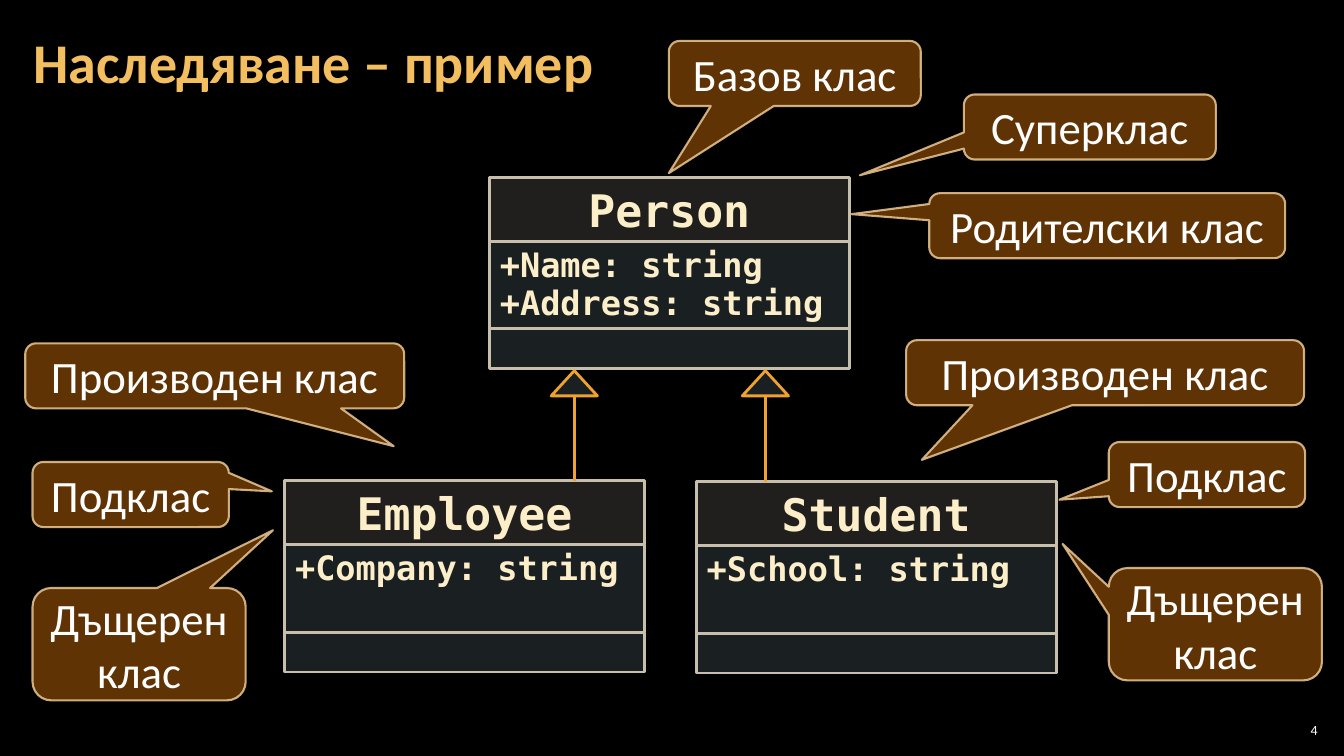
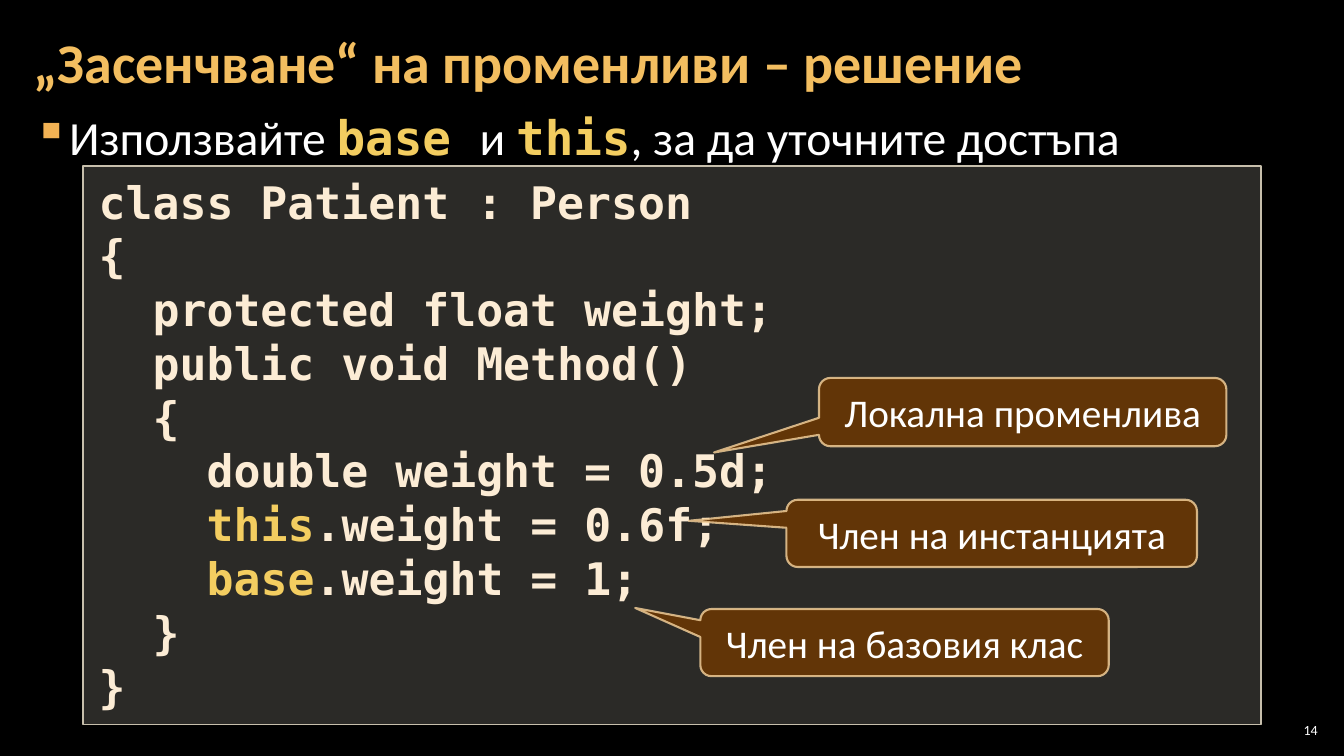
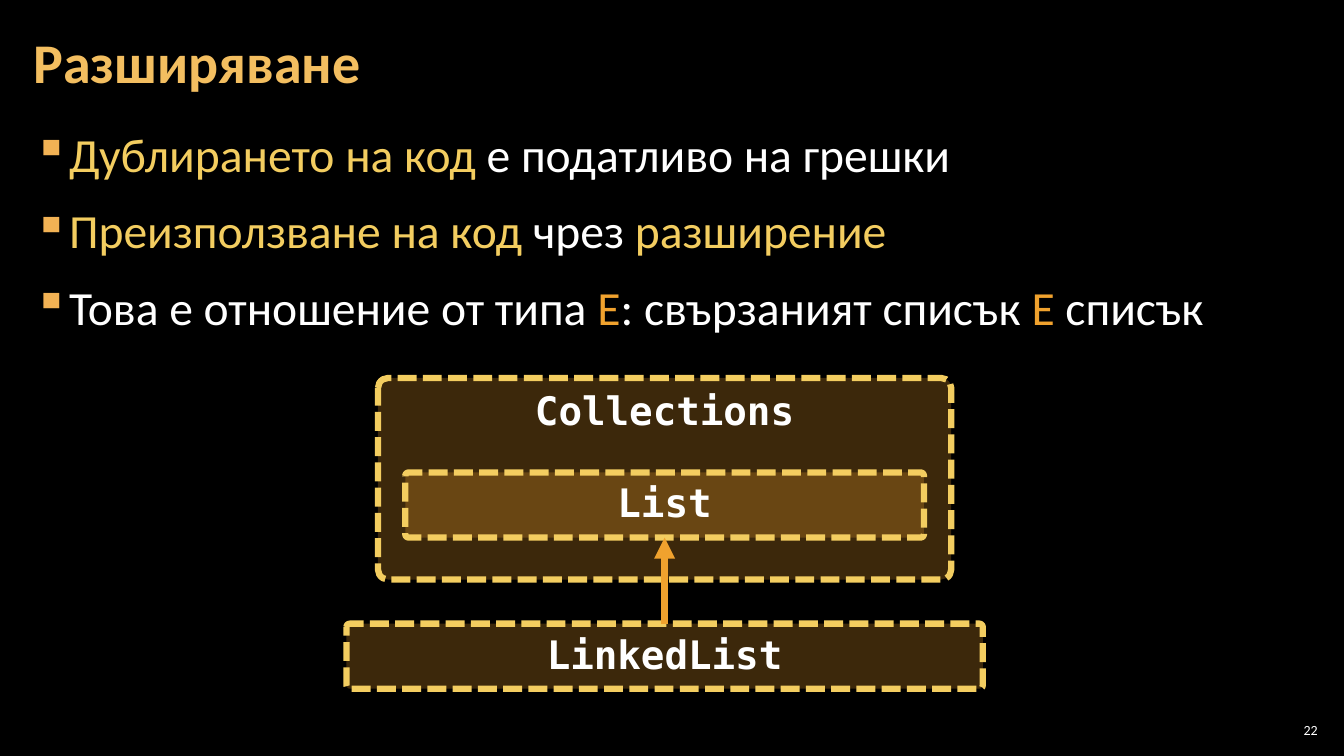
import pptx
import pptx.dml.color
import pptx.enum.dml
import pptx.enum.shapes
import pptx.enum.text
import pptx.oxml.ns
import pptx.util
from lxml import etree

SHAPE = pptx.enum.shapes.MSO_SHAPE
ALIGN = pptx.enum.text.PP_ALIGN
ANCHOR = pptx.enum.text.MSO_ANCHOR
STRAIGHT = pptx.enum.shapes.MSO_CONNECTOR.STRAIGHT
NAMESPACES = {"a": pptx.oxml.ns.nsuri("a")}
SANS = "Calibri"
MONO = "DejaVu Sans Mono"
TOP, BOTTOM = 0, 2

COLORS = {
    "background": "000000",
    "text": "FFFFFF",
    "title": "F3BE60",
    "bullet": "F2B254",
    "highlight": "F3CD60",
    "accent": "F0A22E",
    "class text": "FBEEC9",
    "class name": "D9D5C7",
    "class body": "B5DBE5",
    "border": "C7BFAC",
    "code": "FCECD5",
    "callout": "663606",
    "callout border": "F8D49E",
}


def px(length):
    return pptx.util.Emu(round(length * 9525))


def rgb(name):
    return pptx.dml.color.RGBColor.from_string(COLORS[name])


def add_xml(parent, tag, **attributes):
    return etree.SubElement(parent, pptx.oxml.ns.qn(tag), **attributes)


def set_opacity(shape, owner, percent):
    """Fade the fill (owner ".") or the line (owner "a:ln") of a shape."""
    color = shape._element.spPr.find(owner + "/a:solidFill/a:srgbClr",
                                     NAMESPACES)
    add_xml(color, "a:alpha", val=str(percent * 1000))


class Deck:
    def __init__(self):
        self.presentation = pptx.Presentation()
        self.presentation.slide_width = px(1280)
        self.presentation.slide_height = px(720)
        self.slide = None

    def new_slide(self, title, number):
        self.slide = self.presentation.slides.add_slide(
            self.presentation.slide_layouts[6])
        background = self.slide.background.fill
        background.solid()
        background.fore_color.rgb = rgb("background")
        self.text_box((20, 4, 1240, 116), [title], 40, "title", bold=True,
                      spacing=0.9, anchor=ANCHOR.MIDDLE)
        self.text_box((1214, 685, 45, 20), [number], 10, "text",
                      align=ALIGN.RIGHT, anchor=ANCHOR.MIDDLE, insets=(4, 4))

    def set_text(self, holder, paragraphs, size, color, font=SANS, bold=False,
                 align=ALIGN.LEFT, spacing=1.0, anchor=ANCHOR.TOP,
                 insets=(10, 5), bullets=False):
        """Fill a shape; a paragraph is a string or a list of strings
        and (text, color, font) tuples."""
        frame = holder.text_frame
        frame.word_wrap = True
        frame.vertical_anchor = anchor
        frame.margin_left = frame.margin_right = px(insets[0])
        frame.margin_top = frame.margin_bottom = px(insets[1])
        for index, content in enumerate(paragraphs):
            paragraph = frame.add_paragraph() if index else frame.paragraphs[0]
            if bullets:
                self.add_bullet(paragraph)
                paragraph.space_before = pptx.util.Pt(6 if index else 0)
                paragraph.space_after = pptx.util.Pt(6)
            paragraph.alignment = align
            paragraph.line_spacing = spacing
            self.style(paragraph.font, size, color, font, bold)
            if isinstance(content, str):
                paragraph.text = content
                continue
            for part in content:
                run = paragraph.add_run()
                if isinstance(part, str):
                    run.text = part
                else:
                    run.text, run_color, run_font = part
                    self.style(run.font, size, run_color, run_font,
                               run_font == MONO)

    def style(self, target, size, color, font, bold):
        target.size = pptx.util.Pt(size)
        target.name = font
        target.bold = bold
        target.color.rgb = rgb(color)

    def add_bullet(self, paragraph):
        properties = paragraph._p.get_or_add_pPr()
        properties.set("marL", str(px(32)))
        properties.set("indent", str(px(-32)))
        bullet_color = add_xml(properties, "a:buClr")
        add_xml(bullet_color, "a:srgbClr", val=COLORS["bullet"])
        add_xml(properties, "a:buChar", char="▪")

    def text_box(self, box, paragraphs, size, color, insets=(12, 4), **options):
        holder = self.slide.shapes.add_textbox(*map(px, box))
        self.set_text(holder, paragraphs, size, color, insets=insets, **options)

    def bullets(self, top, paragraphs):
        self.text_box((20, top, 1240, 585), paragraphs, 34, "text",
                      spacing=1.05, bullets=True)

    def paint(self, shape, fill, opacity, border, width):
        shape.shadow.inherit = False
        shape.fill.solid()
        shape.fill.fore_color.rgb = rgb(fill)
        set_opacity(shape, ".", opacity)
        shape.line.color.rgb = rgb(border)
        shape.line.width = pptx.util.Pt(width)

    def panel(self, kind, box, fill, opacity, border, width):
        shape = self.slide.shapes.add_shape(kind, *map(px, box))
        self.paint(shape, fill, opacity, border, width)
        return shape

    def callout(self, text, box, tip, size=32):
        """Draw a speech bubble whose tail ends at the point tip."""
        left, top, width, height = box
        bubble = self.panel(SHAPE.ROUNDED_RECTANGULAR_CALLOUT, box, "callout",
                            95, "callout border", 1.5)
        set_opacity(bubble, "a:ln", 80)
        bubble.adjustments[0] = (tip[0] - left) / width - 0.5
        bubble.adjustments[1] = (tip[1] - top) / height - 0.5
        self.set_text(bubble, [text], size, "text", align=ALIGN.CENTER,
                      anchor=ANCHOR.MIDDLE)

    def class_diagram(self, name, fields, left, top):
        sections = []
        for height, fill in ((61, "class name"), (83, "class body"),
                             (38, "class body")):
            sections.append(self.panel(SHAPE.RECTANGLE,
                                       (left, top, 343, height), fill, 15,
                                       "border", 2))
            top += height
        self.set_text(sections[0], [name], 32, "class text", MONO, True,
                      align=ALIGN.CENTER, anchor=ANCHOR.MIDDLE)
        self.set_text(sections[1], fields, 24, "class text", MONO, True,
                      spacing=0.95)

    def connector(self, start, end, width):
        line = self.slide.shapes.add_connector(STRAIGHT, *map(px, start + end))
        line.line.color.rgb = rgb("accent")
        line.line.width = pptx.util.Pt(width)
        add_xml(line._element.spPr, "a:effectLst")
        return line

    def inheritance(self, x, child_top):
        """Draw a line up from a child class to a hollow triangle."""
        apex, base = 353, 377
        self.connector((x, child_top), (x, base), 2)
        outline = self.slide.shapes.build_freeform(x - 22, base, scale=px(1))
        outline.add_line_segments([(x + 22, base), (x, apex)], close=True)
        self.paint(outline.convert_to_shape(), "class body", 15, "accent", 2)

    def code(self, box, lines):
        listing = self.panel(SHAPE.RECTANGLE, box, "class name", 20,
                             "border", 1)
        self.set_text(listing, lines, 32, "code", MONO, True, insets=(15, 8))

    def dashed_box(self, name, center, top, width, height):
        box = self.panel(SHAPE.ROUNDED_RECTANGLE,
                         (center - width / 2, top, width, height),
                         "accent", 25, "highlight", 4.5)
        box.adjustments[0] = 0.05
        box.line.dash_style = pptx.enum.dml.MSO_LINE.SQUARE_DOT
        self.set_text(box, [name], 28, "text", MONO, True, align=ALIGN.CENTER)
        return box

    def arrow(self, source, target):
        """Join the top of source to the bottom of target."""
        line = self.connector((0, 0), (0, 0), 5)
        line.begin_connect(source, TOP)
        line.end_connect(target, BOTTOM)
        stroke = line._element.spPr.find("a:ln", NAMESPACES)
        add_xml(stroke, "a:tailEnd", type="triangle")


def inheritance_example(deck):
    deck.new_slide("Наследяване – пример", "4")
    deck.class_diagram("Person", ["+Name: string", "+Address: string"],
                       466, 169)
    deck.class_diagram("Employee", ["+Company: string"], 271, 458)
    deck.class_diagram("Student", ["+School: string"], 663, 459)
    deck.inheritance(547, 458)
    deck.inheritance(729, 459)
    for text, box, tip in (
        ("Производен клас", (24, 327, 361, 62), (375, 425)),
        ("Производен клас", (863, 324, 379, 62), (878, 438)),
        ("Базов клас", (637, 39, 240, 62), (637, 165)),
        ("Суперклас", (918, 90, 240, 62), (819, 167)),
        ("Родителски клас", (885, 184, 339, 62), (811, 204)),
        ("Подклас", (31, 440, 187, 62), (259, 468)),
        ("Подклас", (1056, 421, 187, 62), (1009, 476)),
        ("Дъщерен\vклас", (31, 560, 203, 107), (260, 505)),
        ("Дъщерен\vклас", (1056, 541, 203, 107), (1012, 518)),
    ):
        deck.callout(text, box, tip)


def shadowing_solution(deck):
    deck.new_slide("„Засенчване“ на променливи – решение", "14")
    deck.bullets(96, [["Използвайте ", ("base ", "highlight", MONO), "и ",
                       ("this", "highlight", MONO),
                       ", за да уточните достъпа"]])
    deck.code((79, 158, 1122, 532), [
        "class Patient : Person",
        "{",
        "  protected float weight;",
        "  public void Method()",
        "  {",
        "    double weight = 0.5d;",
        ["    ", ("this", "highlight", MONO), ".weight = 0.6f;"],
        ["    ", ("base", "highlight", MONO), ".weight = 1;"],
        "  }",
        "}",
    ])
    for text, box, tip in (
        ("Локална променлива", (780, 360, 388, 65), (680, 431)),
        ("Член на инстанцията", (749, 476, 391, 64), (656, 496)),
        ("Член на базовия клас", (667, 580, 389, 64), (605, 579)),
    ):
        deck.callout(text, box, tip, size=28)


def extension(deck):
    deck.new_slide("Разширяване", "22")
    is_a = ("Е", "accent", SANS)
    deck.bullets(112, [
        [("Дублирането на код ", "highlight", SANS), "е податливо на грешки"],
        [("Преизползване на код ", "highlight", SANS), "чрез ",
         ("разширение", "highlight", SANS)],
        ["Това е отношение от типа ", is_a, ": свързаният списък ", is_a,
         " списък"],
    ])
    center = 633
    deck.dashed_box("Collections", center, 360, 546, 192)
    base_list = deck.dashed_box("List", center, 450, 494, 62)
    linked_list = deck.dashed_box("LinkedList", center, 594, 606, 62)
    deck.arrow(linked_list, base_list)


def main():
    deck = Deck()
    inheritance_example(deck)
    shadowing_solution(deck)
    extension(deck)
    deck.presentation.save("out.pptx")


if __name__ == "__main__":
    main()
